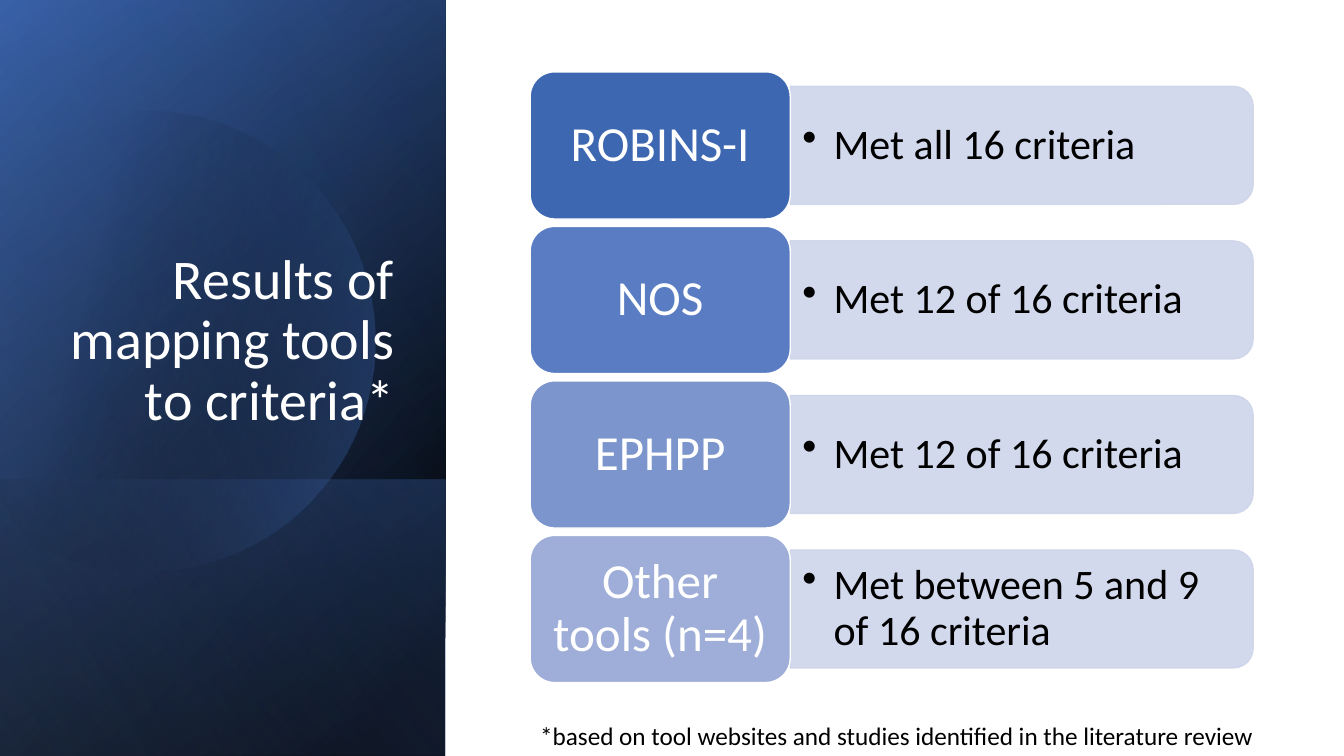
"""Build the slide that sums up how many criteria each tool met."""
from typing import NamedTuple

import pptx
import pptx.dml.color
import pptx.enum.shapes
import pptx.enum.text
import pptx.oxml
import pptx.oxml.ns
import pptx.util

SLIDE_WIDTH, SLIDE_HEIGHT = 13.33, 7.5
SHAPES = pptx.enum.shapes.MSO_SHAPE
ALIGN = pptx.enum.text.PP_ALIGN
ANCHOR = pptx.enum.text.MSO_ANCHOR
AUTO_SIZE = pptx.enum.text.MSO_AUTO_SIZE
NAMESPACE = pptx.oxml.ns.nsdecls("a")
qn = pptx.oxml.ns.qn


class Box(NamedTuple):
    """A place on a grid of 100 columns by 100 rows."""
    left: float
    top: float
    width: float
    height: float


class Stop(NamedTuple):
    """One gradient stop, in percent."""
    position: int
    color: str
    opacity: int = 100


class Panel(NamedTuple):
    """A gradient layer behind the title."""
    box: Box
    angle: float
    stops: tuple[Stop, ...]


class Result(NamedTuple):
    """A tool and the criteria it met."""
    tool: str
    finding: str
    color: str


SIDE = Box(0, 0, 33.15, 100)
BACK_PANELS = (
    Panel(SIDE, 50, (Stop(8, "000000"), Stop(100, "2F5597"))),
    Panel(SIDE, 30, (Stop(0, "000000", 0), Stop(99, "4472C4", 46))),
    Panel(Box(0, 63.47, 33.15, 36.53), 130, (Stop(2, "4472C4", 29), Stop(100, "000000", 30))),
)
SHEEN = Panel(SIDE, 120, (Stop(0, "000000", 0), Stop(99, "8FAADC", 11)))
DISC_STOPS = (Stop(29, "000000", 0), Stop(100, "4472C4", 43))
DISC_START = (11.18, 14.67)
DISC_OUTLINE = (
    ((18.45, 14.93), (25.13, 23.6), (27.23, 36.67)),
    ((29.86, 52.93), (24.61, 69.73), (15.53, 74.4)),
    ((9.83, 77.33), (3.98, 74.8), (-0.23, 68.53)),
    ((-1.13, 67.07),), ((-1.13, 23.33),), ((0, 21.47),),
    ((1.73, 18.93), (3.75, 17.07), (6, 15.87)),
    ((7.73, 15.07), (9.45, 14.67), DISC_START),
)
RESULTS = (
    Result("ROBINS-I", "Met all 16 criteria", "3E67B2"),
    Result("NOS", "Met 12 of 16 criteria", "5A7CC3"),
    Result("EPHPP", "Met 12 of 16 criteria", "7D95CD"),
    Result("Other tools (n=4)", "Met between 5 and 9 of 16 criteria", "9FAED8"),
)
FIRST_ROW, ROW_PITCH = 9.5, 20.44
TOOL_LEFT, TOOL_WIDTH, TOOL_HEIGHT = 39.45, 19.35, 19.47
BAR_WIDTH, BAR_HEIGHT = 34.44, 15.6
FINDING_WIDTH, FINDING_HEIGHT = 34, 14


def col(count: float) -> int:
    """Turn columns into a length."""
    return pptx.util.Inches(count * SLIDE_WIDTH / 100)


def row(count: float) -> int:
    """Turn rows into a length."""
    return pptx.util.Inches(count * SLIDE_HEIGHT / 100)


def rgb(color: str) -> pptx.dml.color.RGBColor:
    """Turn a hex string into a colour."""
    return pptx.dml.color.RGBColor.from_string(color)


def place(box: Box) -> tuple[int, int, int, int]:
    """Give left, top, width and height of a box."""
    return col(box.left), row(box.top), col(box.width), row(box.height)


def add_turned(slide, kind, box: Box):
    """Add a shape turned by a quarter so that it covers the box."""
    left, top, width, height = place(box)
    shift = (width - height) // 2
    shape = slide.shapes.add_shape(kind, left + shift, top - shift, height, width)
    shape.rotation = 90
    shape.shadow.inherit = False
    return shape


def paint(shape, color: str, outline: str) -> None:
    """Give a shape a plain fill and a thin outline."""
    shape.shadow.inherit = False
    shape.fill.solid()
    shape.fill.fore_color.rgb, shape.line.color.rgb = rgb(color), rgb(outline)
    shape.line.width = pptx.util.Pt(1)


def paint_gradient(shape, stops: tuple[Stop, ...], angle: float) -> None:
    """Fill a shape with a linear gradient and no outline."""
    marks = "".join(
        f'<a:gs pos="{stop.position * 1000}"><a:srgbClr val="{stop.color}">'
        f'<a:alpha val="{stop.opacity * 1000}"/></a:srgbClr></a:gs>' for stop in stops)
    gradient = pptx.oxml.parse_xml(
        f'<a:gradFill {NAMESPACE} rotWithShape="1"><a:gsLst>{marks}</a:gsLst>'
        f'<a:lin ang="{round(angle * 60000)}" scaled="0"/></a:gradFill>')
    shape.fill.background()
    properties = shape.element.spPr
    properties.replace(properties.find(qn("a:noFill")), gradient)
    shape.line.fill.background()


def add_panel(slide, panel: Panel) -> None:
    """Draw one mirrored gradient layer."""
    layer = add_turned(slide, SHAPES.RECTANGLE, panel.box)
    layer.element.spPr.get_or_add_xfrm().set("flipH", "1")
    paint_gradient(layer, panel.stops, panel.angle)


def add_disc(slide, steps: int = 24) -> None:
    """Draw the cut disc, following its Bézier curves."""
    builder = slide.shapes.build_freeform(col(DISC_START[0]), row(DISC_START[1]))
    points, current = [], DISC_START
    for segment in DISC_OUTLINE:
        if len(segment) == 1:
            points.append(segment[0])
        else:
            for t in (step / steps for step in range(1, steps + 1)):
                weights = ((1 - t) ** 3, 3 * t * (1 - t) ** 2, 3 * t * t * (1 - t), t ** 3)
                points.append([sum(w * p[axis] for w, p in zip(weights, (current, *segment)))
                               for axis in (0, 1)])
        current = segment[-1]
    builder.add_line_segments([(col(x), row(y)) for x, y in points], close=True)
    disc = builder.convert_to_shape()
    disc.shadow.inherit = False
    paint_gradient(disc, DISC_STOPS, 13.9)


def write(shape, text: str, size: float, color: str, align=ALIGN.LEFT, anchor=ANCHOR.MIDDLE,
          insets: tuple[float, float] = (0.1, 0.05), spacing: float = 0.9):
    """Set and format the one paragraph of a shape."""
    frame = shape.text_frame
    frame.word_wrap, frame.auto_size, frame.vertical_anchor = True, AUTO_SIZE.NONE, anchor
    frame.margin_left = frame.margin_right = pptx.util.Inches(insets[0])
    frame.margin_top = frame.margin_bottom = pptx.util.Inches(insets[1])
    frame.text = text
    paragraph = frame.paragraphs[0]
    paragraph.alignment, paragraph.line_spacing = align, spacing
    font = paragraph.runs[0].font
    font.name, font.size, font.color.rgb = "Calibri", pptx.util.Pt(size), rgb(color)
    return paragraph


def add_result(slide, result: Result, top: float) -> None:
    """Draw a tool's box and the bar with its finding."""
    edge, middle = TOOL_LEFT + TOOL_WIDTH, top + TOOL_HEIGHT / 2
    bar = add_turned(slide, SHAPES.ROUND_2_SAME_RECTANGLE,
                     Box(edge, middle - BAR_HEIGHT / 2, BAR_WIDTH, BAR_HEIGHT))
    paint(bar, "CFD5EA", "CFD5EA")
    for tint in bar.element.spPr.iter(qn("a:srgbClr")):
        tint.append(pptx.oxml.parse_xml(f'<a:alpha {NAMESPACE} val="90000"/>'))
    finding = slide.shapes.add_textbox(
        *place(Box(edge, middle - FINDING_HEIGHT / 2, FINDING_WIDTH, FINDING_HEIGHT)))
    paragraph = write(finding, result.finding, 30, "000000", insets=(0.12, 0.06))
    paragraph.level = 1
    properties, indent = paragraph._p.get_or_add_pPr(), pptx.util.Inches(0.31)
    properties.set("marL", str(int(indent)))
    properties.set("indent", str(-int(indent)))
    properties.append(pptx.oxml.parse_xml(f'<a:buChar {NAMESPACE} char="•"/>'))
    tool = slide.shapes.add_shape(
        SHAPES.ROUNDED_RECTANGLE, *place(Box(TOOL_LEFT, top, TOOL_WIDTH, TOOL_HEIGHT)))
    paint(tool, result.color, "FFFFFF")
    write(tool, result.tool, 35, "FFFFFF", ALIGN.CENTER, insets=(0.15, 0.07))


def main() -> None:
    """Build and save the slide."""
    deck = pptx.Presentation()
    deck.slide_width, deck.slide_height = col(100), row(100)
    slide = deck.slides.add_slide(deck.slide_layouts[5])
    paint(slide.shapes.add_shape(SHAPES.RECTANGLE, *place(Box(0, 0, 100, 100))), "FFFFFF", "FFFFFF")
    for panel in BACK_PANELS:
        add_panel(slide, panel)
    add_disc(slide)
    add_panel(slide, SHEEN)
    title = slide.shapes.title
    title.left, title.top, title.width, title.height = place(Box(3.83, 8.53, 26.25, 49.33))
    write(title, "Results of mapping tools to criteria*", 40, "FFFFFF", ALIGN.RIGHT, ANCHOR.BOTTOM)
    slide.shapes.element.append(title.element)
    for index, result in enumerate(RESULTS):
        add_result(slide, result, FIRST_ROW + index * ROW_PITCH)
    footnote = slide.shapes.add_textbox(*place(Box(TOOL_LEFT, 94.67, 55.2, 5.33)))
    write(footnote, "*based on tool websites and studies identified in the literature review",
          18, "000000", anchor=ANCHOR.TOP, spacing=1.0)
    footnote.text_frame.word_wrap = False
    footnote.text_frame.auto_size = AUTO_SIZE.SHAPE_TO_FIT_TEXT
    deck.save("out.pptx")


if __name__ == "__main__":
    main()
